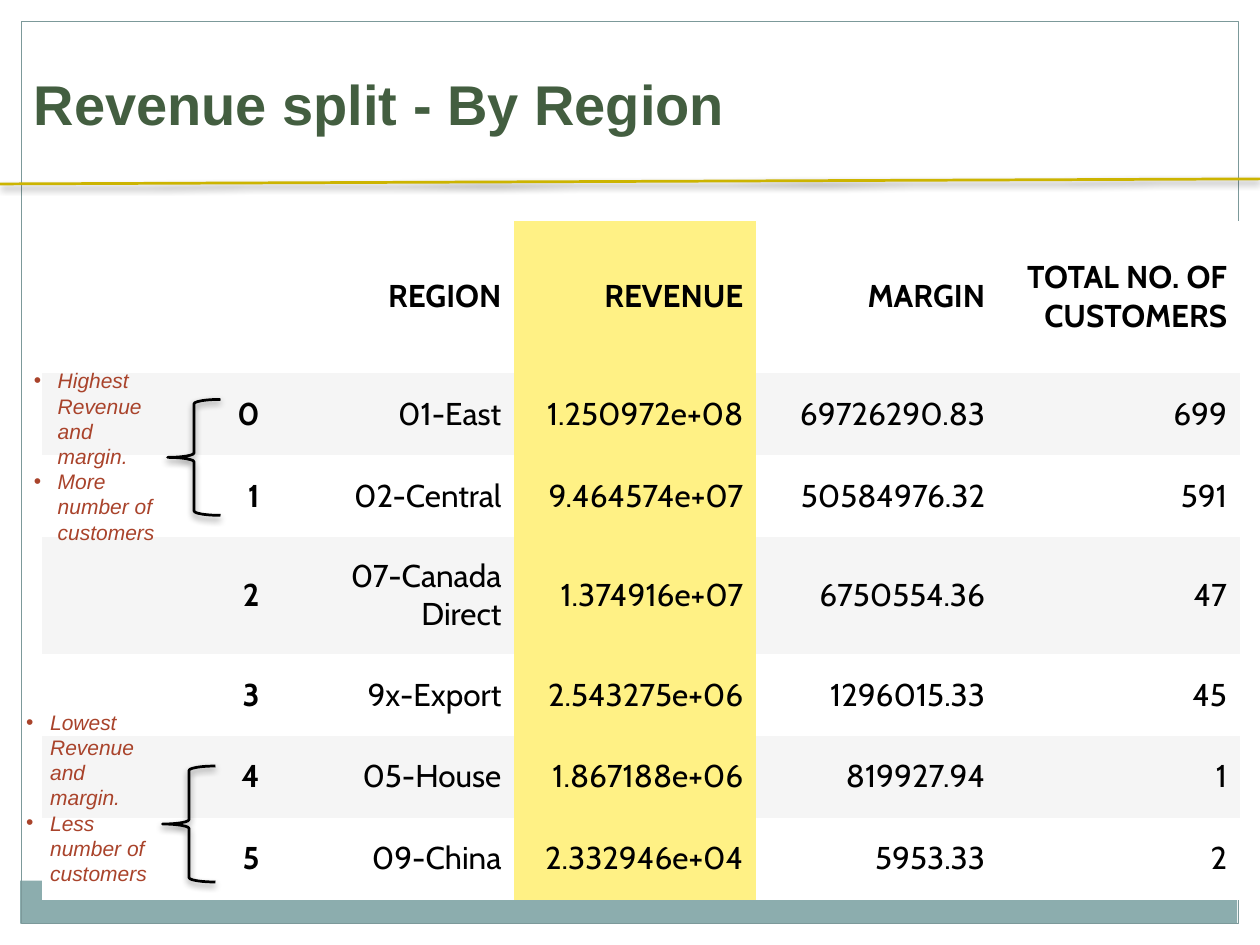
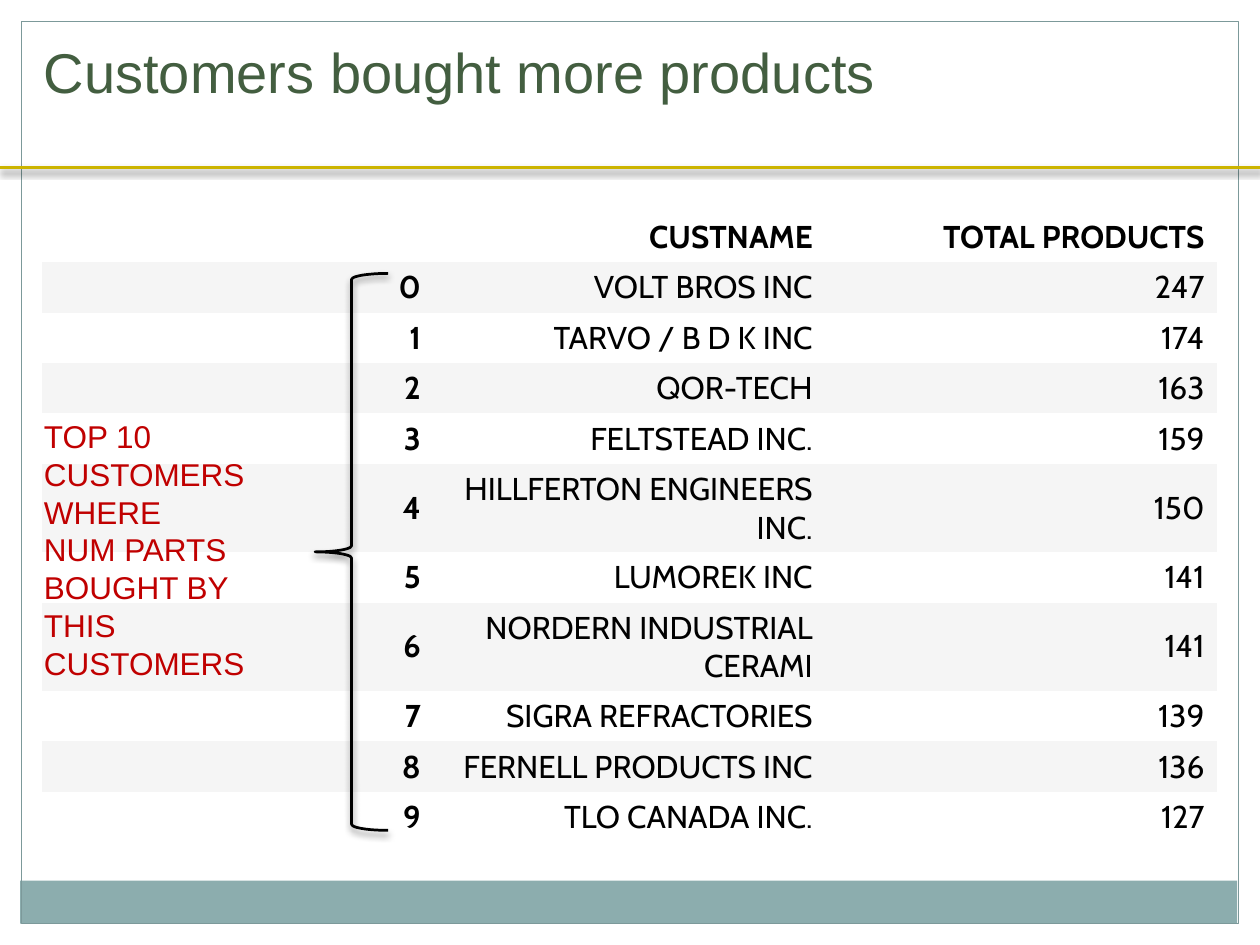
from dataclasses import dataclass

import lxml.etree
import pptx
import pptx.dml.color
import pptx.enum.shapes
import pptx.enum.text
import pptx.oxml.ns
import pptx.util

Inches = pptx.util.Inches
Pt = pptx.util.Pt
Align = pptx.enum.text.PP_ALIGN
Anchor = pptx.enum.text.MSO_ANCHOR
Shape = pptx.enum.shapes.MSO_SHAPE
qn = pptx.oxml.ns.qn

COLORS = {
    "title": "435E40", "rule": "CCB400", "band": "8CADAE", "frame": "7C999A",
    "ink": "000000", "plain": "FFFFFF", "stripe": "F5F5F5", "mark": "FFF185",
    "note": "A9432B", "alert": "C00000",
}
PLAIN_GRID = "{2D5ABB26-0587-4C30-8999-92F81FD0307C}"
LINE = 1.57


@dataclass
class Box:
    left: float
    top: float
    width: float
    height: float

    def place(self) -> tuple:
        return tuple(Inches(n) for n in (self.left, self.top, self.width, self.height))


@dataclass
class Grid:
    left: float
    top: float
    widths: list[float]
    heights: list[float]
    rows: list[tuple]
    marked: int = -1


@dataclass
class Note:
    box: Box
    lines: list[str]
    brace: Box


REGIONS = Grid(
    0.33, 1.75, [1.83] + [1.92] * 4, [1.21, 0.65, 0.65, 0.93, 0.65, 0.65, 0.65],
    [
        ("", "REGION", "REVENUE", "MARGIN", "TOTAL NO. OF CUSTOMERS"),
        ("0", "01-East", "1.250972e+08", "69726290.83", "699"),
        ("1", "02-Central", "9.464574e+07", "50584976.32", "591"),
        ("2", "07-Canada Direct", "1.374916e+07", "6750554.36", "47"),
        ("3", "9x-Export", "2.543275e+06", "1296015.33", "45"),
        ("4", "05-House", "1.867188e+06", "819927.94", "1"),
        ("5", "09-China", "2.332946e+04", "5953.33", "2"),
    ],
    marked=2,
)
BUYERS = [
    ("VOLT BROS INC", 247), ("TARVO / B D K INC", 174), ("QOR-TECH", 163),
    ("FELTSTEAD INC.", 159), ("HILLFERTON ENGINEERS INC.", 150),
    ("LUMOREK INC", 141), ("NORDERN INDUSTRIAL CERAMI", 141),
    ("SIGRA REFRACTORIES", 139), ("FERNELL PRODUCTS INC", 136),
    ("TLO CANADA INC.", 127),
]
TOP_TEN = Grid(
    0.33, 1.68, [3.11] * 3,
    [0.4] + [0.7 if len(name) > 20 else 0.4 for name, _ in BUYERS],
    [("", "CUSTNAME", "TOTAL PRODUCTS")]
    + [(str(i), name, str(total)) for i, (name, total) in enumerate(BUYERS)],
)
NOTES = [
    Note(Box(0.17, 2.87, 1.17, 1.51),
         ["Highest Revenue and margin.", "More number of customers"],
         Box(1.33, 3.17, 0.42, 0.92)),
    Note(Box(0.11, 5.58, 1.17, 1.51),
         ["Lowest Revenue and margin.", "Less number of customers"],
         Box(1.29, 6.08, 0.42, 0.92)),
]


def color(name: str) -> pptx.dml.color.RGBColor:
    return pptx.dml.color.RGBColor.from_string(COLORS[name])


def paint(fill, name: str) -> None:
    fill.solid()
    fill.fore_color.rgb = color(name)


def stroke(line, name: str, width: float) -> None:
    line.color.rgb = color(name)
    line.width = Pt(width)


def shade(shape) -> None:
    """Give a shape or connector the soft shadow below it."""
    sub = lxml.etree.SubElement
    effects = sub(shape._element.spPr, qn("a:effectLst"))
    cast = sub(effects, qn("a:outerShdw"), blurRad=str(Pt(4)), dist=str(Pt(2)),
               dir="5400000", rotWithShape="0")
    tint = sub(cast, qn("a:srgbClr"), val=COLORS["ink"])
    sub(tint, qn("a:alpha"), val="45000")


def write(frame, lines: list[str], *, size: float, ink: str, font: str = "Arial",
          bold: bool = False, italic: bool = False, align=Align.LEFT,
          bullet: bool = False, wrap: bool = True) -> None:
    frame.word_wrap = wrap
    for i, line in enumerate(lines):
        para = frame.add_paragraph() if i else frame.paragraphs[0]
        para.alignment = align
        if bullet:
            props = para._p.get_or_add_pPr()
            props.set("marL", str(Inches(0.19)))
            props.set("indent", str(-Inches(0.19)))
            lxml.etree.SubElement(props, qn("a:buFont"), typeface="Arial")
            lxml.etree.SubElement(props, qn("a:buChar"), char="•")
        run = para.add_run()
        run.text = line
        run.font.name, run.font.size = font, Pt(size)
        run.font.bold, run.font.italic = bold, italic
        run.font.color.rgb = color(ink)


def add_text(slide, box: Box, lines: list[str], **style) -> None:
    write(slide.shapes.add_textbox(*box.place()).text_frame, lines, **style)


def add_brace(slide, box: Box) -> None:
    brace = slide.shapes.add_shape(Shape.LEFT_BRACE, *box.place())
    brace.fill.background()
    stroke(brace.line, "ink", LINE)
    shade(brace)


def add_grid(slide, grid: Grid) -> None:
    box = Box(grid.left, grid.top, sum(grid.widths), sum(grid.heights))
    table = slide.shapes.add_table(
        len(grid.heights), len(grid.widths), *box.place()).table
    table.first_row = table.horz_banding = False
    table._tbl.tblPr.find(qn("a:tableStyleId")).text = PLAIN_GRID
    for col, width in zip(table.columns, grid.widths):
        col.width = Inches(width)
    for r, values in enumerate(grid.rows):
        table.rows[r].height = Inches(grid.heights[r])
        for c, value in enumerate(values):
            cell = table.cell(r, c)
            cell.vertical_anchor = Anchor.MIDDLE
            band = "stripe" if r % 2 else "plain"
            paint(cell.fill, "mark" if c == grid.marked else band)
            if value:
                write(cell.text_frame, [value], size=18, ink="ink", font="Cabin",
                      bold=r == 0 or c == 0, align=Align.RIGHT)


def add_page(deck, title: str, box: Box, rule: tuple[float, float], **style):
    """Start a slide with its frame, foot band, title and rule (left and right height)."""
    slide = deck.slides.add_slide(deck.slide_layouts[6])
    foot = slide.shapes.add_shape(Shape.RECTANGLE, *Box(0.16, 6.99, 9.66, 0.34).place())
    paint(foot.fill, "band")
    foot.line.fill.background()
    frame = slide.shapes.add_shape(Shape.RECTANGLE, *Box(0.17, 0.17, 9.66, 7.16).place())
    frame.fill.background()
    stroke(frame.line, "frame", 0.75)
    for shape in (foot, frame):
        shape.shadow.inherit = False
    add_text(slide, box, [title], size=32, ink="title", **style)
    line = slide.shapes.add_connector(
        pptx.enum.shapes.MSO_CONNECTOR.STRAIGHT,
        Inches(0), Inches(rule[0]), Inches(10), Inches(rule[1]))
    stroke(line.line, "rule", LINE)
    shade(line)
    return slide


def main() -> None:
    deck = pptx.Presentation()
    deck.slide_width, deck.slide_height = Inches(10), Inches(7.5)

    slide = add_page(deck, "Revenue split - By Region", Box(0.17, 0.5, 5.73, 0.64),
                     (1.46, 1.42), bold=True, wrap=False)
    add_grid(slide, REGIONS)
    for note in NOTES:
        add_brace(slide, note.brace)
        add_text(slide, note.box, note.lines, size=12, ink="note",
                 italic=True, bullet=True)

    slide = add_page(deck, "Customers bought more products",
                     Box(0.25, 0.25, 8.5, 0.94), (1.33, 1.33))
    add_grid(slide, TOP_TEN)
    add_brace(slide, Box(2.5, 2.17, 0.58, 4.42))
    add_text(slide, Box(0.25, 3.26, 1.92, 2.22),
             ["TOP 10 CUSTOMERS WHERE", "NUM PARTS BOUGHT BY THIS CUSTOMERS"],
             size=18, ink="alert")

    deck.save("out.pptx")


if __name__ == "__main__":
    main()
